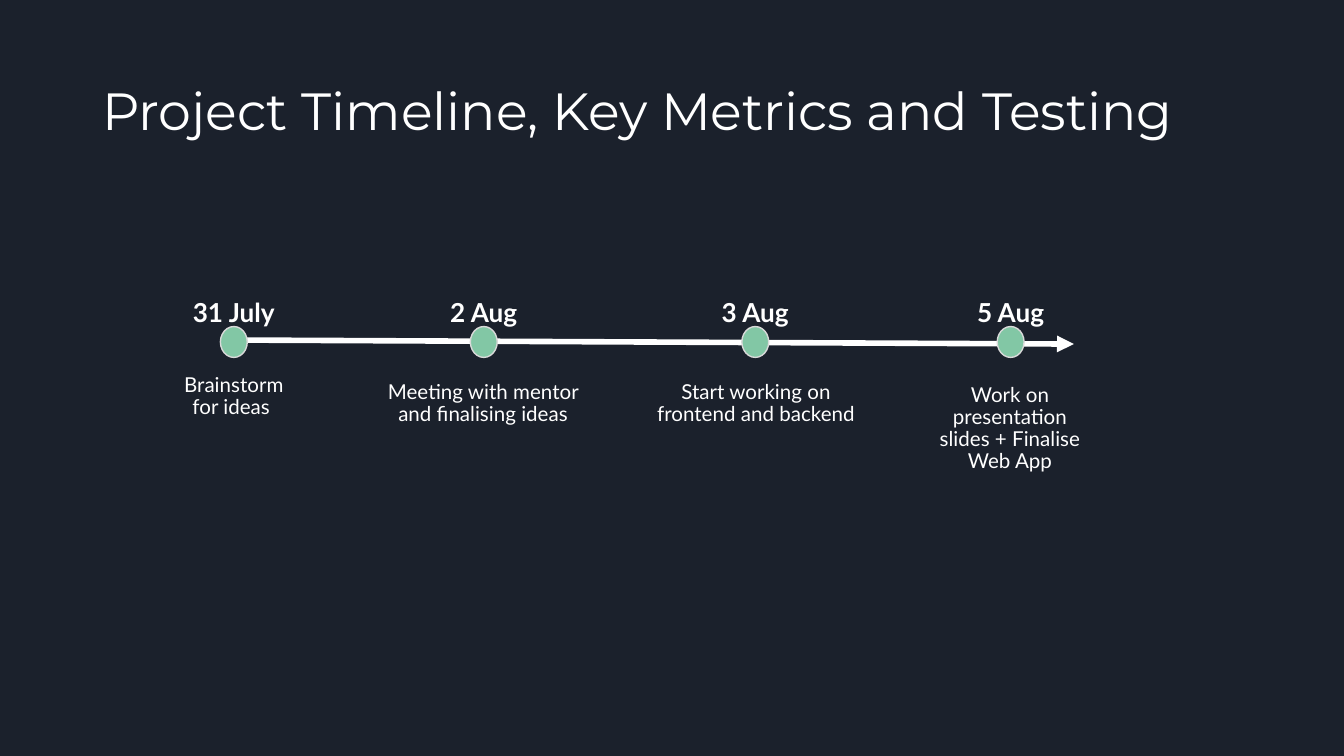
import pptx
import pptx.util
import pptx.dml.color
import pptx.enum.shapes
import pptx.enum.text
import pptx.oxml.ns
from lxml import etree

Inches, Pt = pptx.util.Inches, pptx.util.Pt
RGB = pptx.dml.color.RGBColor.from_string
ANCHOR = pptx.enum.text.MSO_ANCHOR
ALIGN = pptx.enum.text.PP_ALIGN
FIT = pptx.enum.text.MSO_AUTO_SIZE
qn = pptx.oxml.ns.qn

COLORS = {"back": "1B212C", "text": "FFFFFF", "dot": "82C7A5", "rim": "D9D9D9"}


class Deck:
    """Holds the style and the current slide."""

    formats = {
        "title": {"name": "Montserrat", "size": Pt(28)},
        "date": {"name": "Lato", "size": Pt(14), "bold": True},
        "task": {"name": "Lato", "size": Pt(11)},
    }

    def __init__(self, prs):
        self.s = prs.slides.add_slide(prs.slide_layouts[6])
        fill = self.s.background.fill
        fill.solid()
        fill.fore_color.rgb = RGB(COLORS["back"])

    def text(self, x, y, w, h, words, style, inset=(0.1, 0.1),
             anchor=ANCHOR.MIDDLE, fit=FIT.SHAPE_TO_FIT_TEXT, **paragraph):
        sp = self.s.shapes.add_textbox(Inches(x), Inches(y), Inches(w), Inches(h))
        tf = sp.text_frame
        dx, dy = map(Inches, inset)
        frame = {"word_wrap": True, "auto_size": fit, "vertical_anchor": anchor,
                 "margin_left": dx, "margin_right": dx,
                 "margin_top": dy, "margin_bottom": dy}
        p = tf.paragraphs[0]
        r = p.add_run()
        r.text = words
        for target, values in ((tf, frame), (p, paragraph), (r.font, self.formats[style])):
            for key, value in values.items():
                setattr(target, key, value)
        r.font.color.rgb = RGB(COLORS["text"])

    def arrow(self, x1, y1, x2, y2):
        c = self.s.shapes.add_connector(
            pptx.enum.shapes.MSO_CONNECTOR.STRAIGHT,
            Inches(x1), Inches(y1), Inches(x2), Inches(y2))
        c.line.color.rgb = RGB(COLORS["text"])
        c.line.width = Pt(3)
        line = c._element.spPr.find(qn("a:ln"))
        etree.SubElement(line, qn("a:tailEnd"), type="triangle")
        etree.SubElement(c._element.spPr, qn("a:effectLst"))

    def dot(self, x, y, w, h):
        sp = self.s.shapes.add_shape(
            pptx.enum.shapes.MSO_SHAPE.OVAL, Inches(x), Inches(y), Inches(w), Inches(h))
        sp.shadow.inherit = False
        sp.fill.solid()
        sp.fill.fore_color.rgb = RGB(COLORS["dot"])
        sp.line.color.rgb = RGB(COLORS["rim"])
        sp.line.width = Pt(0.75)


# Widescreen page, 16 to 9
prs = pptx.Presentation()
prs.slide_width = Inches(10)
prs.slide_height = prs.slide_width * 9 // 16
deck = Deck(prs)

# Title
deck.text(0.69, 0.3, 8.62, 1.09, "Project Timeline, Key Metrics and Testing",
          "title", inset=(0.07, 0.04), fit=FIT.NONE, line_spacing=0.9)

# Time axis
deck.arrow(1.71, 2.53, 7.99, 2.56)

# Milestones: centre, date, then left, top, width, height and words of the task
milestones = [
    (1.74, "31 July", (1.24, 2.69, 1, 0.54), "Brainstorm for ideas "),
    (3.6, "2 Aug", (2.7, 2.74, 1.79, 0.87), "Meeting with mentor and finalising ideas"),
    (5.62, "3 Aug", (4.75, 2.74, 1.75, 0.54), "Start working on frontend and backend"),
    (7.52, "5 Aug", (6.83, 2.76, 1.37, 0.87),
     "Work on presentation slides + Finalise Web App"),
]
for center, date, box, task in milestones:
    deck.dot(center - 0.1, 2.43, 0.2, 0.23)
    deck.text(center - 0.5, 2.1, 1, 0.44, date, "date", alignment=ALIGN.CENTER)
    deck.text(*box, task, "task", anchor=ANCHOR.TOP,
              alignment=ALIGN.CENTER, line_spacing=0.9)

prs.save("out.pptx")
